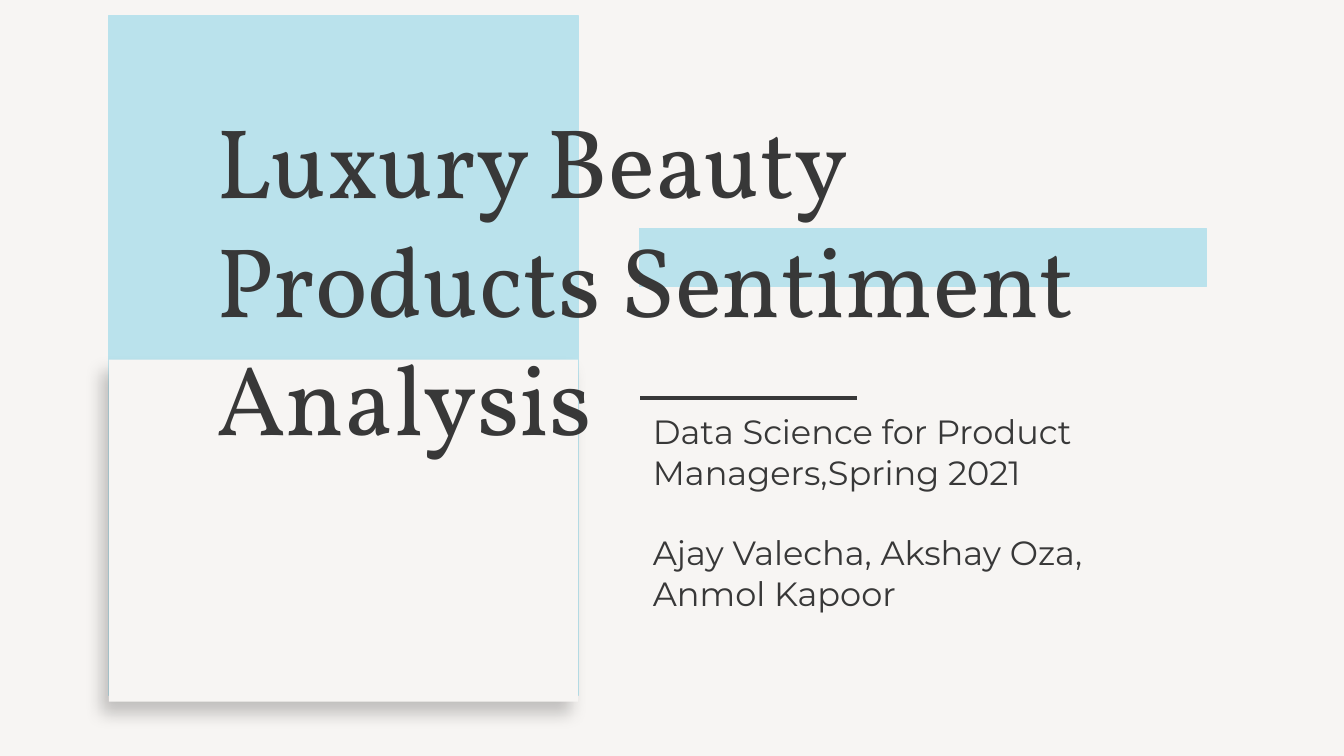
from dataclasses import dataclass

from lxml import etree
from pptx import Presentation
from pptx import util as u
from pptx.dml.color import RGBColor
from pptx.enum import shapes, text
from pptx.oxml import ns


@dataclass(frozen=True)
class Theme:
    paper: str = "F7F5F3"
    accent: str = "BAE2EC"
    ink: str = "383838"
    title_font: str = "Vollkorn"
    body_font: str = "Montserrat"
    title_size: float = 53
    body_size: float = 18


def write_text(frame, paragraphs, *, font, size, color, gap=0, line_spacing=None):
    """Fill a text frame, with a gap in points between paragraphs."""
    for index, words in enumerate(paragraphs):
        paragraph = frame.paragraphs[0] if index == 0 else frame.add_paragraph()
        paragraph.alignment = text.PP_ALIGN.LEFT
        if index:
            paragraph.space_before = u.Pt(gap)
        if line_spacing:
            paragraph.line_spacing = line_spacing
        run = paragraph.add_run()
        run.text = words
        run.font.name = font
        run.font.size = u.Pt(size)
        run.font.color.rgb = RGBColor.from_string(color)


class SlideBuilder:
    def __init__(self, slide, theme):
        self.slide = slide
        self.theme = theme

    def background(self, color):
        fill = self.slide.background.fill
        fill.solid()
        fill.fore_color.rgb = RGBColor.from_string(color)

    def block(self, left, top, width, height, color, outlined=True):
        shape = self.slide.shapes.add_shape(
            shapes.MSO_SHAPE.RECTANGLE, *map(u.Pt, (left, top, width, height)))
        shape.shadow.inherit = False
        shape.fill.solid()
        shape.fill.fore_color.rgb = RGBColor.from_string(color)
        if outlined:
            shape.line.color.rgb = RGBColor.from_string(color)
            shape.line.width = u.Pt(0.75)
        else:
            shape.line.fill.background()
        return shape

    def drop_shadow(self, shape, blur, distance, angle, opacity):
        effects = shape._element.spPr.find(ns.qn("a:effectLst"))
        shadow = etree.SubElement(
            effects, ns.qn("a:outerShdw"), blurRad=str(u.Pt(blur)),
            dist=str(u.Pt(distance)), dir=str(angle * 60000),
            algn="bl", rotWithShape="0")
        color = etree.SubElement(shadow, ns.qn("a:srgbClr"), val="000000")
        etree.SubElement(color, ns.qn("a:alpha"), val=str(opacity * 1000))

    def text_box(self, left, top, width, height, paragraphs,
                 anchor=text.MSO_ANCHOR.TOP, **text_format):
        box = self.slide.shapes.add_textbox(*map(u.Pt, (left, top, width, height)))
        frame = box.text_frame
        frame.word_wrap = True
        frame.vertical_anchor = anchor
        frame.margin_left = frame.margin_right = u.Pt(7.2)
        frame.margin_top = frame.margin_bottom = u.Pt(7.2)
        write_text(frame, paragraphs, color=self.theme.ink, **text_format)

    def rule(self, left, right, top):
        line = self.slide.shapes.add_connector(
            shapes.MSO_CONNECTOR.STRAIGHT, *map(u.Pt, (right, top, left, top)))
        line.line.color.rgb = RGBColor.from_string(self.theme.ink)
        line.line.width = u.Pt(2.25)
        etree.SubElement(line._element.spPr, ns.qn("a:effectLst"))


def main():
    theme = Theme()
    presentation = Presentation()
    presentation.slide_width, presentation.slide_height = u.Pt(720), u.Pt(405)
    slide = presentation.slides.add_slide(presentation.slide_layouts[6])
    builder = SlideBuilder(slide, theme)
    builder.background(theme.paper)

    # Colour panel with a raised card over its lower half
    panel_left, panel_width = 58.3, 251.3
    builder.block(panel_left, 8.4, panel_width, 364.3, theme.accent)
    card = builder.block(panel_left, 192.7, panel_width, 183.3, theme.paper,
                         outlined=False)
    builder.drop_shadow(card, blur=9, distance=7.5, angle=125, opacity=22)

    # Accent band behind the title
    column_left = 342.7
    builder.block(column_left, 122.4, 303.5, 31, theme.accent)

    # Title
    builder.text_box(108.7, 197.3, 586.8, 54,
                     ["Luxury Beauty", "Products Sentiment Analysis"],
                     anchor=text.MSO_ANCHOR.BOTTOM,
                     font=theme.title_font, size=theme.title_size)

    # Course and authors under a short rule
    builder.text_box(column_left, 213.1, 299.5, 69.8,
                     ["Data Science for Product Managers,Spring 2021",
                      "Ajay Valecha, Akshay Oza, Anmol Kapoor"],
                     font=theme.body_font, size=theme.body_size, gap=21.6)
    builder.rule(column_left, 459.2, 213.1)

    presentation.save("out.pptx")


if __name__ == "__main__":
    main()
